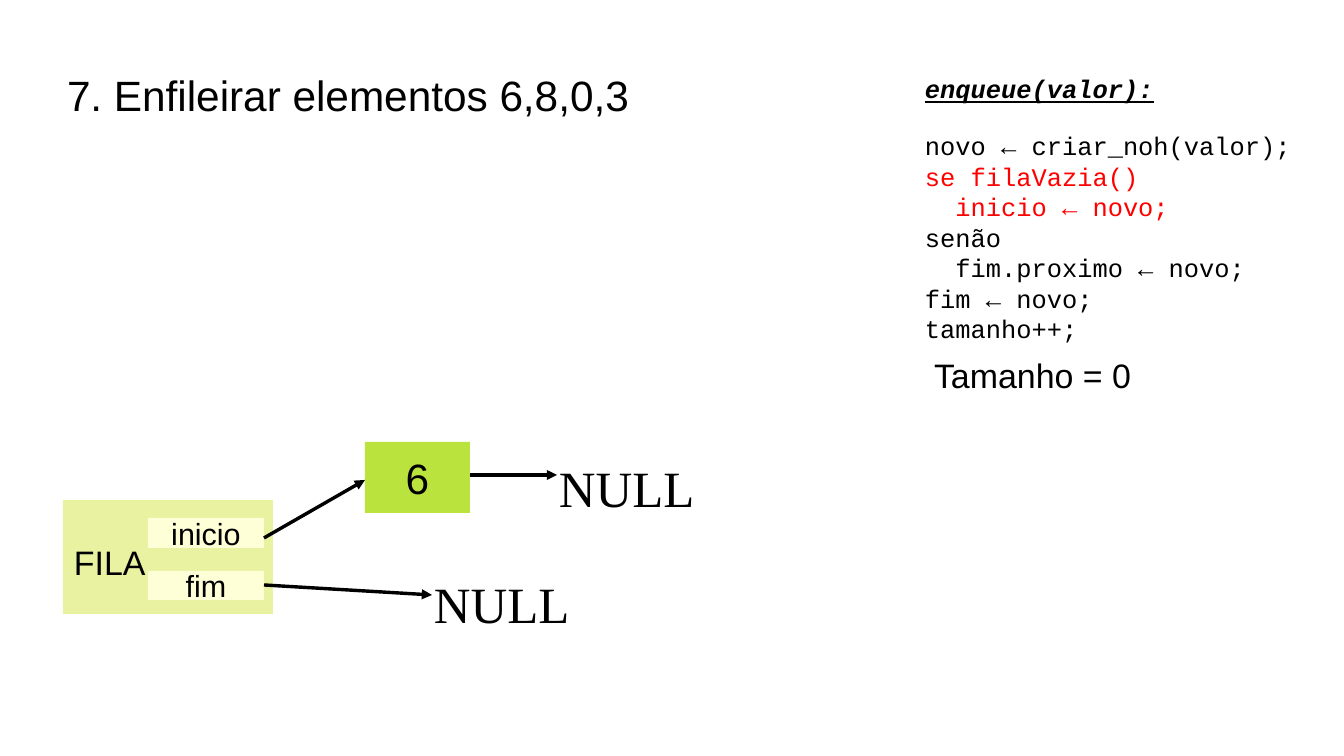
from lxml import etree
from pptx import Presentation
from pptx import util as u
from pptx.dml.color import RGBColor
from pptx.enum import shapes, text
from pptx.oxml import ns

PX = 7495  # EMU in one px, at 122 px to the inch
BLACK, RED = "000000", "FF0000"


def color(value):
    return RGBColor.from_string(value)


def write(shape, lines, size, font="Arial", fill=BLACK, align=text.PP_ALIGN.LEFT,
          anchor=text.MSO_ANCHOR.TOP, wrap=True, margins=(12, 6)):
    """Write one paragraph for each (text, format) pair in lines."""
    frame = shape.text_frame
    frame.word_wrap = wrap
    frame.auto_size = text.MSO_AUTO_SIZE.NONE
    frame.vertical_anchor = anchor
    frame.margin_left = frame.margin_right = margins[0] * PX
    frame.margin_top = frame.margin_bottom = margins[1] * PX
    for index, (words, style) in enumerate(lines):
        paragraph = frame.paragraphs[0] if index == 0 else frame.add_paragraph()
        paragraph.alignment = align
        paragraph.space_before = u.Pt(0)
        paragraph.space_after = u.Pt(style.get("after", 0))
        run = paragraph.add_run()
        run.text = words
        run.font.name = font
        run.font.size = u.Pt(size)
        run.font.color.rgb = color(style.get("fill", fill))
        heading = style.get("heading", False)
        run.font.bold = run.font.italic = run.font.underline = heading


presentation = Presentation()
presentation.slide_width = 1344 * PX
presentation.slide_height = 756 * PX
slide = presentation.slides.add_slide(presentation.slide_layouts[5])

# Title
title = slide.shapes.title
title.left, title.top, title.width, title.height = [n * PX for n in (67, 31, 1210, 127)]
write(title, [("7. Enfileirar elementos 6,8,0,3", {})], 25,
      anchor=text.MSO_ANCHOR.MIDDLE, margins=(0, 0))

# Queue, its two pointers and the node
boxes = [
    ("", 0, "E8F2A1", (63, 500, 210, 114)),
    ("inicio", 18, "FFFFD7", (148, 518, 116, 30)),
    ("fim", 18, "FFFFD7", (148, 571, 116, 29)),
    ("6", 25, "BBE33D", (365, 442, 105, 71)),
]
for label, size, fill, place in boxes:
    box = slide.shapes.add_shape(shapes.MSO_SHAPE.RECTANGLE, *[n * PX for n in place])
    box.shadow.inherit = False
    box.fill.solid()
    box.fill.fore_color.rgb = color(fill)
    box.line.fill.background()
    if label:
        write(box, [(label, {})], size, align=text.PP_ALIGN.CENTER,
              anchor=text.MSO_ANCHOR.MIDDLE, wrap=False)

# Free labels
labels = [
    ("FILA", 20, "Arial", (62, 536, 100, 50)),
    ("NULL", 30, "Times New Roman", (422, 567, 164, 63)),
    ("NULL", 30, "Times New Roman", (547, 451, 164, 63)),
    ("Tamanho = 0", 20, "Arial", (922, 349, 231, 50)),
]
for label, size, font, place in labels:
    box = slide.shapes.add_textbox(*[n * PX for n in place])
    write(box, [(label, {})], size, font)

# Pointer arrows
for ends in [(264, 538, 365, 480), (264, 585, 432, 595), (470, 475, 557, 475)]:
    arrow = slide.shapes.add_connector(
        shapes.MSO_CONNECTOR.STRAIGHT, *[n * PX for n in ends])
    arrow.line.color.rgb = color(BLACK)
    arrow.line.width = 0
    etree.SubElement(arrow.line._get_or_add_ln(), ns.qn("a:tailEnd"), type="triangle")
    etree.SubElement(arrow._element.spPr, ns.qn("a:effectLst"))

# Pseudocode with the current step in red
code = [
    ("enqueue(valor):", {"heading": True, "after": 16}),
    ("novo ← criar_noh(valor);", {}),
    ("se filaVazia()", {"fill": RED}),
    ("  inicio ← novo;", {"fill": RED}),
    ("senão", {}),
    ("  fim.proximo ← novo;", {}),
    ("fim ← novo;", {}),
    ("tamanho++;", {}),
]
listing = slide.shapes.add_textbox(*[n * PX for n in (913, 67, 398, 283)])
write(listing, code, 15, "Courier New")

presentation.save("out.pptx")
